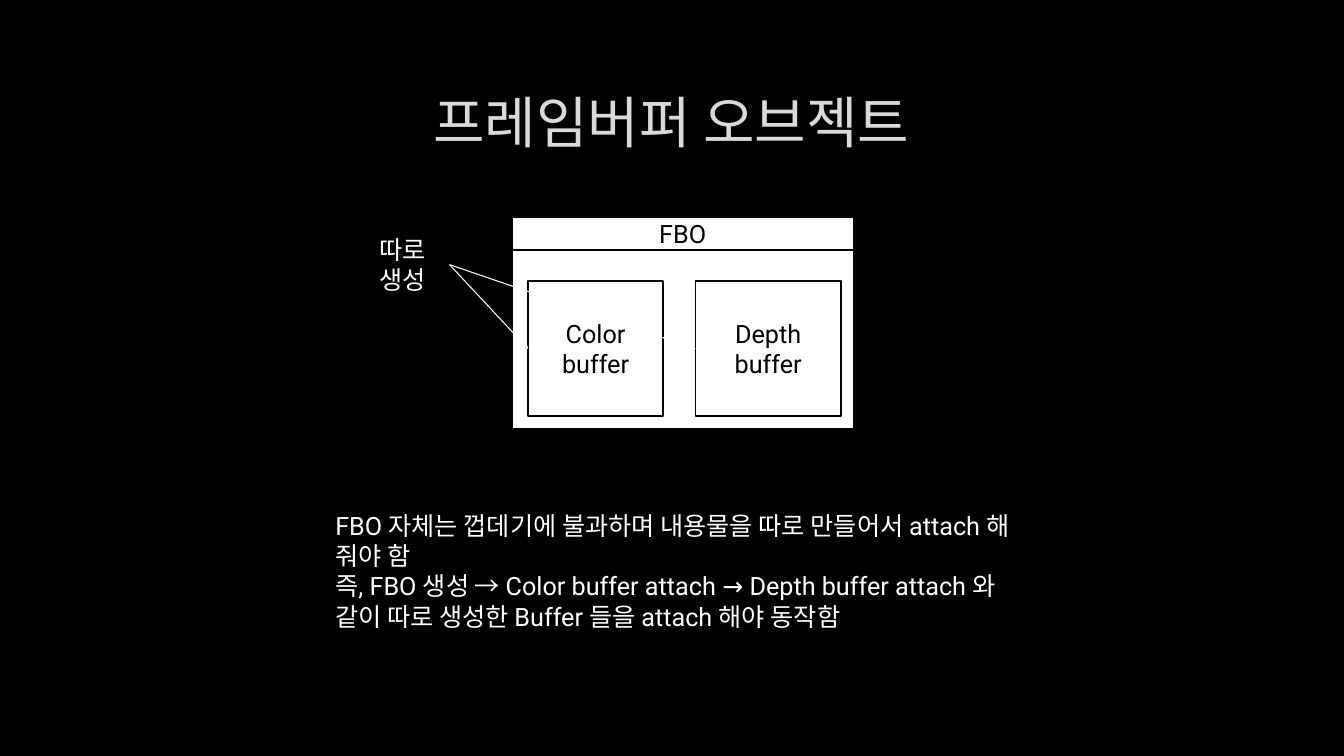
"""Build the slide that explains the framebuffer object and its attached buffers."""
from lxml import etree
from pptx import Presentation
from pptx.dml.color import RGBColor
from pptx.enum import shapes, text
from pptx.oxml import ns
from pptx.util import Cm, Pt

FONT = "Roboto"
BLACK, WHITE, TITLE_GREY, OUTLINE_GREY = "000000", "FFFFFF", "DADADA", "404040"

TITLE = ("프레임버퍼 오브젝트", (2.54, 1.7, 28.75, 2.69))
FRAME = (12.9, 5.46, 8.61, 5.36)
HEADER = ("FBO", 0.84)
BUFFERS = [("Color buffer", 13.31, 3.4), ("Depth buffer", 17.53, 3.66)]
BUFFER_TOP, BUFFER_HEIGHT = 7.09, 3.4
NOTES = [
    (["FBO 자체는 껍데기에 불과하며 내용물을 따로 만들어서 attach 해 줘야 함",
      "즉, FBO 생성 → Color buffer attach → Depth buffer attach 와 같이 "
      "따로 생성한 Buffer 들을 attach 해야 동작함"], (8.2, 12.73, 18.01, 3.33)),
    (["따로 생성"], (9.32, 5.77, 2.01, 1.8)),
]


def color(value):
    return RGBColor.from_string(value)


def write(shape, lines, size, ink, align):
    frame = shape.text_frame
    frame.text = "\n".join(lines)
    frame.word_wrap = True
    for paragraph in frame.paragraphs:
        paragraph.alignment = align
        for run in paragraph.runs:
            run.font.name = FONT
            run.font.size = Pt(size)
            run.font.color.rgb = color(ink)


def add_box(parent, box, label=None):
    shape = parent.add_shape(shapes.MSO_SHAPE.RECTANGLE, *map(Cm, box))
    shape.shadow.inherit = False
    shape.fill.solid()
    shape.fill.fore_color.rgb = color(WHITE)
    shape.line.color.rgb = color(BLACK)
    shape.line.width = Pt(1.25)
    if label:
        write(shape, [label], 18, BLACK, text.PP_ALIGN.CENTER)
        shape.text_frame.vertical_anchor = text.MSO_ANCHOR.MIDDLE
    return shape


def add_arrow(slide, source, target):
    arrow = slide.shapes.add_connector(shapes.MSO_CONNECTOR.STRAIGHT, 0, 0, 0, 0)
    arrow.begin_connect(source, 3)
    arrow.end_connect(target, 1)
    arrow.line.color.rgb = color(WHITE)
    arrow.line.width = Pt(0.75)
    etree.SubElement(arrow.line._get_or_add_ln(), ns.qn("a:tailEnd"), type="arrow")
    etree.SubElement(arrow._element.spPr, ns.qn("a:effectLst"))


def outline(run):
    line = etree.Element(ns.qn("a:ln"), w=str(Pt(0.75)))
    fill = etree.SubElement(line, ns.qn("a:solidFill"))
    ink = etree.SubElement(fill, ns.qn("a:srgbClr"), val=OUTLINE_GREY)
    etree.SubElement(ink, ns.qn("a:alpha"), val="10000")
    run.font._element.insert(0, line)


def main():
    presentation = Presentation()
    presentation.slide_width, presentation.slide_height = Cm(33.87), Cm(19.05)
    slide = presentation.slides.add_slide(presentation.slide_layouts[5])
    slide.background.fill.solid()
    slide.background.fill.fore_color.rgb = color(BLACK)

    title = slide.shapes.title
    heading, box = TITLE
    title.left, title.top, title.width, title.height = map(Cm, box)
    write(title, [heading], 40, TITLE_GREY, text.PP_ALIGN.CENTER)
    title.text_frame.vertical_anchor = text.MSO_ANCHOR.MIDDLE
    outline(title.text_frame.paragraphs[0].runs[0])

    group = slide.shapes.add_group_shape()
    add_box(group.shapes, FRAME)
    header, header_height = HEADER
    add_box(group.shapes, (*FRAME[:3], header_height), header)
    buffers = [add_box(slide.shapes, (left, BUFFER_TOP, width, BUFFER_HEIGHT), label)
               for label, left, width in BUFFERS]

    for lines, box in NOTES:
        note = slide.shapes.add_textbox(*map(Cm, box))
        write(note, lines, 18, WHITE, text.PP_ALIGN.LEFT)
    for buffer in buffers:
        add_arrow(slide, note, buffer)

    presentation.save("out.pptx")


if __name__ == "__main__":
    main()
